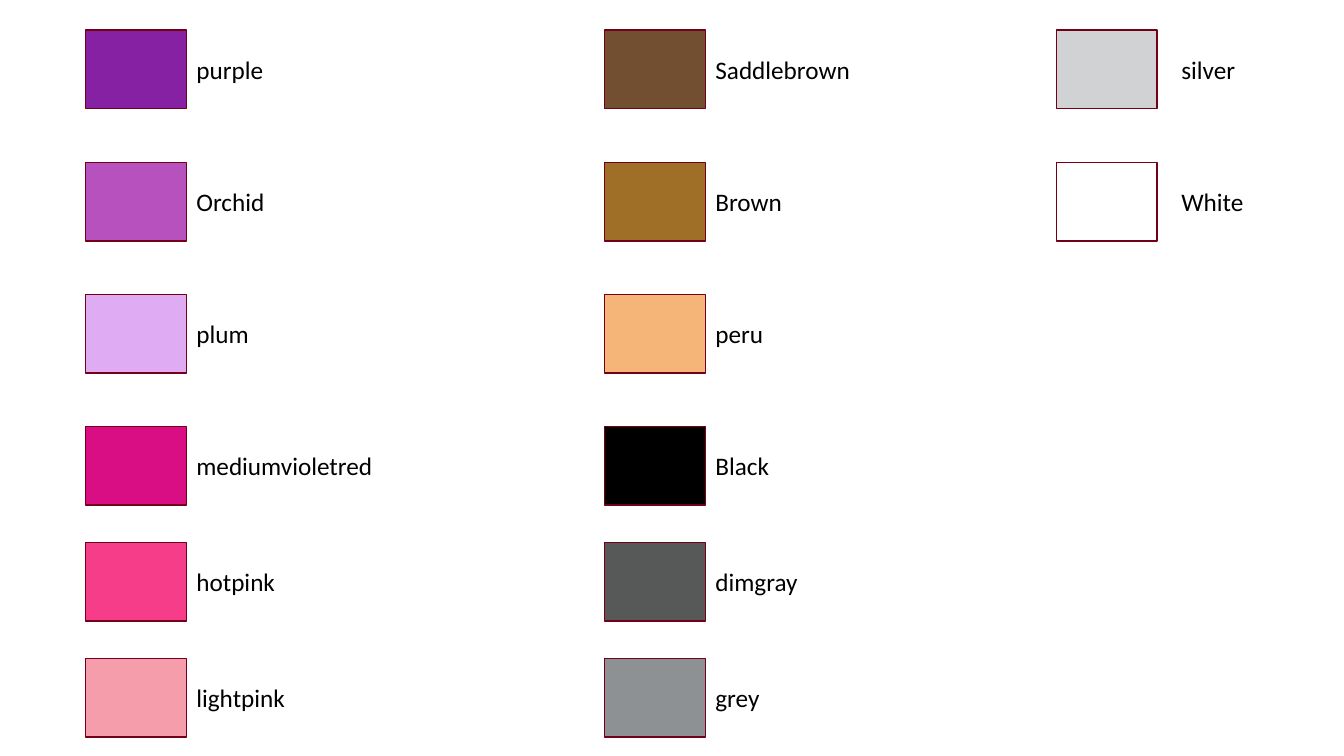
from dataclasses import dataclass

from pptx import Presentation
from pptx.dml.color import RGBColor
from pptx.enum.shapes import MSO_SHAPE
from pptx.enum.text import MSO_AUTO_SIZE
from pptx.util import Cm, Pt

RECT = MSO_SHAPE.RECTANGLE
GROW = MSO_AUTO_SIZE.SHAPE_TO_FIT_TEXT


@dataclass(frozen=True)
class Theme:
    font: str = "Calibri"
    size: int = 18
    ink: str = "000000"
    edge: str = "730018"
    stroke: int = 1


THEME = Theme()
TOP, STEP, TIGHT, LOOSE = 0.76, 3.33, 2.92, 3
WIDE, HIGH = 2.54, 1.98
DROP, TALL, SPAN = 0.48, 1.02, 2.9
SPANS = {"mediumvioletred": 5.41, "Saddlebrown": 4.5}

COLUMNS = [
    (2.16, WIDE, [
        ("purple", "8621A3"),
        ("Orchid", "B651BE"),
        ("plum", "DFACF4"),
        ("mediumvioletred", "D90D84"),
        ("hotpink", "F53D89"),
        ("lightpink", "F59DAB"),
    ]),
    (15.24, WIDE, [
        ("Saddlebrown", "734F32"),
        ("Brown", "9F6E27"),
        ("peru", "F5B578"),
        ("Black", "000000"),
        ("dimgray", "575959"),
        ("grey", "8E9193"),
    ]),
    (26.62, 2.9, [
        ("silver", "D0D2D3"),
        ("White", "FFFFFF"),
    ]),
]


def rgb(code):
    return RGBColor.from_string(code)


def style(target, values):
    for name, value in values.items():
        setattr(target, name, value)


def row_top(row):
    return TOP + min(row, LOOSE) * STEP + max(row - LOOSE, 0) * TIGHT


def add_swatch(slide, left, top, code):
    swatch = slide.shapes.add_shape(RECT, Cm(left), Cm(top), Cm(WIDE), Cm(HIGH))
    swatch.shadow.inherit = False
    swatch.fill.solid()
    swatch.fill.fore_color.rgb = rgb(code)
    swatch.line.color.rgb = rgb(THEME.edge)
    swatch.line.width = Pt(THEME.stroke)


def add_label(slide, left, top, text):
    width = SPANS.get(text, SPAN)
    label = slide.shapes.add_textbox(Cm(left), Cm(top), Cm(width), Cm(TALL))
    style(label.text_frame, {"word_wrap": True, "auto_size": GROW})
    run = label.text_frame.paragraphs[0].add_run()
    run.text = text
    style(run.font, {"name": THEME.font, "size": Pt(THEME.size)})
    run.font.color.rgb = rgb(THEME.ink)


def main():
    deck = Presentation()
    style(deck, {"slide_width": Cm(33.87), "slide_height": Cm(19.05)})
    slide = deck.slides.add_slide(deck.slide_layouts[6])
    for left, shift, swatches in COLUMNS:
        for row, (name, code) in enumerate(swatches):
            top = row_top(row)
            add_swatch(slide, left, top, code)
            add_label(slide, left + shift, top + DROP, name)
    deck.save("out.pptx")


if __name__ == "__main__":
    main()
